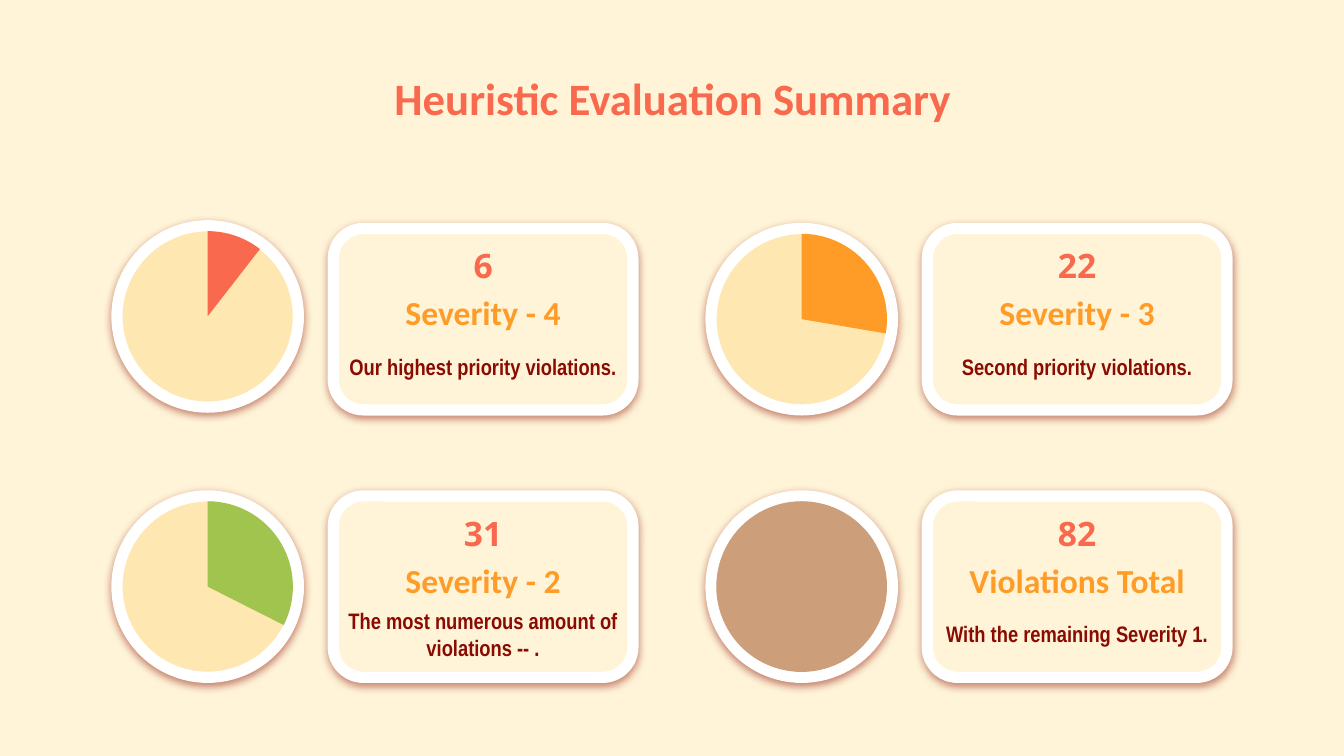
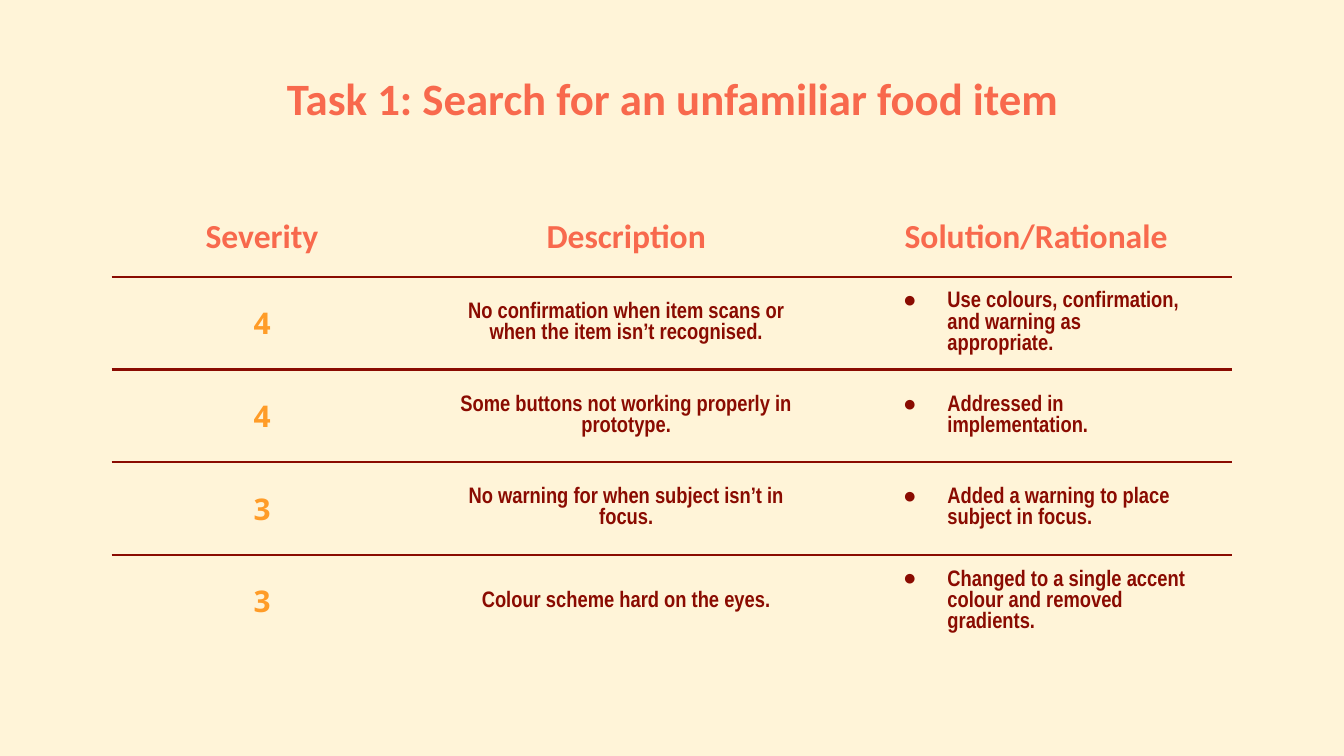
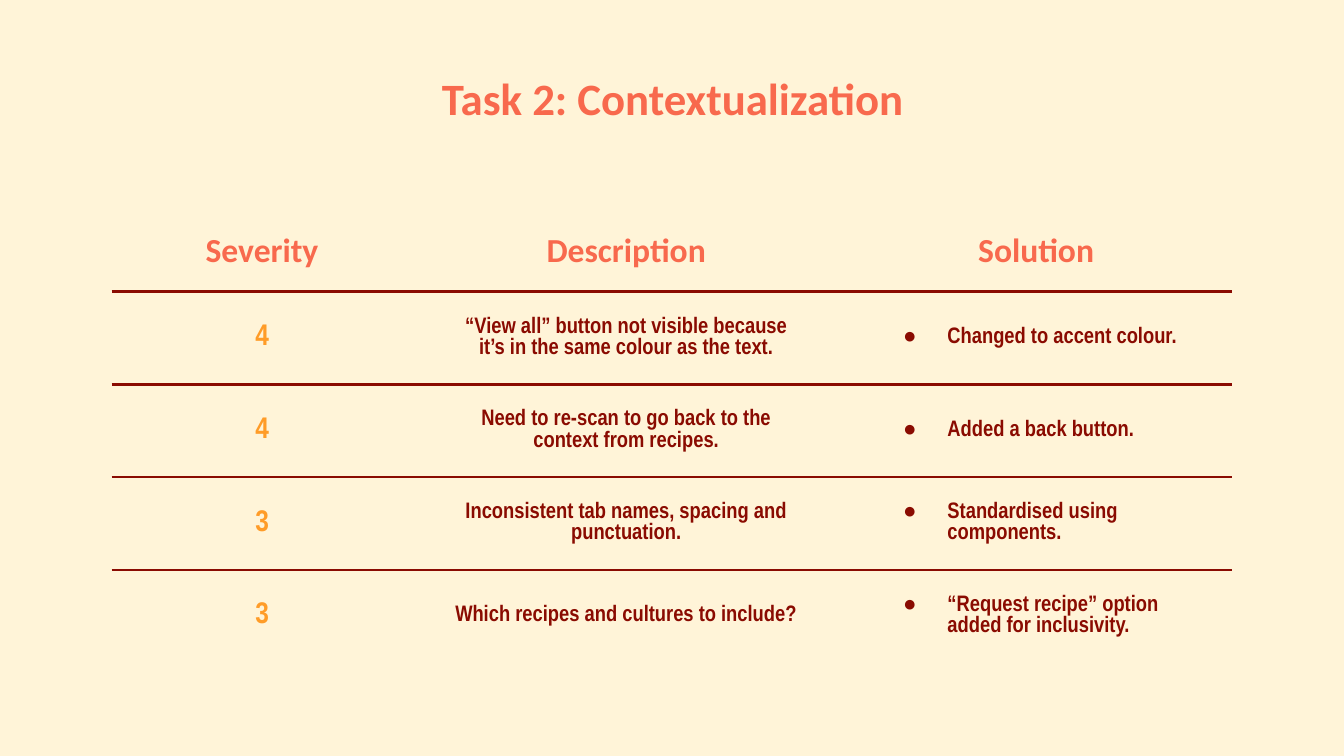
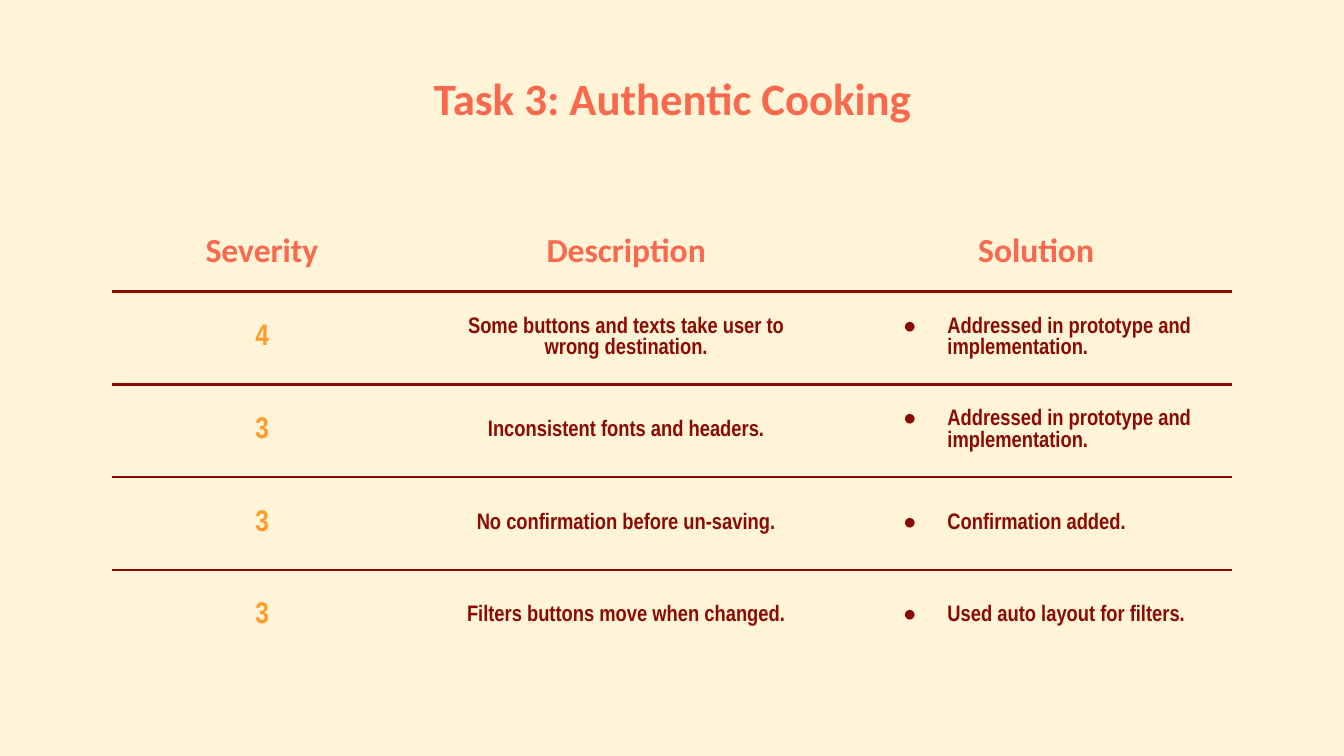
from lxml import etree
from pptx import Presentation
from pptx import util as u
from pptx.dml.color import RGBColor
from pptx.enum import shapes, text
from pptx.oxml import ns

WIDE = 10
HIGH = WIDE * 9 / 16
CREAM, SAND, WHITE = "FFF4D8", "FEE7B1", "FFFFFF"
CORAL, AMBER, WINE = "F8694D", "FF9C28", "8A0B01"
GREEN, TAN = "A1C44E", "CC9E7A"
KIND = shapes.MSO_SHAPE
PLAIN = "{2D5ABB26-0587-4C30-8999-92F81FD0307C}"

HEAD = {"size": 24, "name": "Calibri", "color": CORAL}
COUNT = {"size": 18, "name": "Noto Sans", "color": CORAL}
LABEL = {"size": 18, "name": "Calibri", "color": AMBER}
LEAD = LABEL | {"color": CORAL}
BODY = {"size": 12, "name": "Arial Narrow", "color": WINE}
SCORE = {"size": 16, "color": AMBER}

CARDS = [
    ("6", "Severity - 4", "Our highest priority violations.", CORAL, 37.84, 0.02),
    ("22", "Severity - 3", "Second priority violations.", AMBER, 99.65, 0),
    ("31", "Severity - 2", "The most numerous amount of violations -- .", GREEN, 116.8, 0),
    ("82", "Violations Total", "With the remaining Severity 1.", TAN, 359.8, 0),
]

TASKS = [
    ("Task 1: Search for an unfamiliar food item", 1.46, "Solution/Rationale", "Noto Sans", [
        ("4", "No confirmation when item scans or when the item isn’t recognised.",
         "Use colours, confirmation, and warning as appropriate."),
        ("4", "Some buttons not working properly in prototype.",
         "Addressed in implementation."),
        ("3", "No warning for when subject isn’t in focus.",
         "Added a warning to place subject in focus."),
        ("3", "Colour scheme hard on the eyes.",
         "Changed to a single accent colour and removed gradients."),
    ]),
    ("Task 2: Contextualization", 1.57, "Solution", "Arial Narrow", [
        ("4", "“View all” button not visible because it’s in the same colour as the text.",
         "Changed to accent colour."),
        ("4", "Need to re-scan to go back to the context from recipes.",
         "Added a back button."),
        ("3", "Inconsistent tab names, spacing and punctuation.",
         "Standardised using components."),
        ("3", "Which recipes and cultures to include?",
         "“Request recipe” option added for inclusivity."),
    ]),
    ("Task 3: Authentic Cooking", 1.57, "Solution", "Arial Narrow", [
        ("4", "Some buttons and texts take user to wrong destination.",
         "Addressed in prototype and implementation."),
        ("3", "Inconsistent fonts and headers.",
         "Addressed in prototype and implementation."),
        ("3", "No confirmation before un-saving.", "Confirmation added."),
        ("3", "Filters buttons move when changed.", "Used auto layout for filters."),
    ]),
]


def paint(form, tone):
    """Give a fill or line format a solid colour."""
    form.solid()
    form.fore_color.rgb = RGBColor.from_string(tone)


def node(top, tag, **attrs):
    """Append an XML element and return it."""
    item = etree.SubElement(top, ns.qn(tag))
    for key, value in attrs.items():
        item.set(key, str(value))
    return item


def box(left, top, wide, high):
    """Turn inches into lengths."""
    return [u.Inches(part) for part in (left, top, wide, high)]


def write(para, words, style, align=text.PP_ALIGN.CENTER):
    """Write one bold run in a style."""
    para.alignment = align
    run = para.add_run()
    run.text = words
    run.font.color.rgb = RGBColor.from_string(style["color"])
    look = {"size": u.Pt(style["size"]), "name": style["name"], "bold": True}
    for key, value in look.items():
        setattr(run.font, key, value)


def frame(shape, words, style):
    """Fill a text shape with one centred paragraph."""
    body = shape.text_frame
    look = {"word_wrap": True, "auto_size": text.MSO_AUTO_SIZE.NONE,
            "vertical_anchor": text.MSO_ANCHOR.MIDDLE}
    look |= {f"margin_{side}": u.Inches(0.1) for side in ("left", "right", "top", "bottom")}
    for key, value in look.items():
        setattr(body, key, value)
    write(body.paragraphs[0], words, style)


def page(deck, title):
    """Add a slide with its title."""
    slide = deck.slides.add_slide(deck.slide_layouts[5])
    head = slide.shapes.title
    head.left, head.top, head.width, head.height = box(0.79, 0.49, 8.43, 0.47)
    frame(head, title, HEAD)
    return slide


def plate(slide, kind, area, tone):
    """Draw a white-rimmed shape with a soft shadow."""
    shape = slide.shapes.add_shape(kind, *box(*area))
    paint(shape.fill, tone)
    paint(shape.line.fill, WHITE)
    shape.line.width = u.Pt(6)
    glow = node(node(shape.element.spPr, "a:effectLst"), "a:outerShdw",
                blurRad=u.Pt(4.5), dist=u.Pt(1.5), dir=5400000,
                algn="bl", rotWithShape=0)
    node(node(glow, "a:srgbClr", val=WINE), "a:alpha", val=50000)


def dial(slide, left, top, tone, sweep):
    """Draw a disc with a slice that runs clockwise from noon."""
    plate(slide, KIND.OVAL, (left, top, 1.35, 1.35), SAND)
    slice_ = slide.shapes.add_shape(KIND.PIE, *box(left + 0.04, top + 0.04, 1.27, 1.27))
    slice_.shadow.inherit = False
    paint(slice_.fill, tone)
    slice_.line.fill.background()
    slice_.element.spPr.xfrm.set("flipH", "1")
    slice_.adjustments[0] = (270 - sweep) % 360 * 0.6
    slice_.adjustments[1] = 270 * 0.6


def card(slide, left, top, lines):
    """Draw a rounded card with a count, a label and a note."""
    plate(slide, KIND.ROUNDED_RECTANGLE, (left, top, 2.23, 1.35), CREAM)
    rows = zip(lines, (COUNT, LABEL, BODY), (0.1, 0.45, 0.8), (0.35, 0.35, 0.45))
    for words, style, drop, high in rows:
        area = box(left, top + drop, 2.23, high)
        frame(slide.shapes.add_textbox(*area), words, style)


def recap(deck):
    """Build the summary slide on a grid of two by two."""
    slide = page(deck, "Heuristic Evaluation Summary")
    for spot, (*lines, tone, sweep, lift) in enumerate(CARDS):
        row, col = divmod(spot, 2)
        left, top = 0.87 + col * 4.42, 1.7 + row * 1.99
        card(slide, left + 1.61, top, lines)
        dial(slide, left, top - lift, tone, sweep)


def rule(cell, sides):
    """Draw lines on some sides of a cell and clear the rest."""
    props = cell._tc.get_or_add_tcPr()
    for side in "LRTB":
        edge = node(props, f"a:ln{side}", w=u.Pt(1.5))
        if side in sides:
            node(node(edge, "a:solidFill"), "a:srgbClr", val=WINE)
        else:
            node(edge, "a:noFill")
    cell.fill.background()


def bullet(para):
    """Give a paragraph a hanging bullet."""
    props = para._p.get_or_add_pPr()
    props.set("marL", str(u.Inches(0.5)))
    props.set("indent", str(u.Inches(-0.33)))
    node(node(props, "a:buClr"), "a:srgbClr", val=WINE)
    node(props, "a:buSzPts", val=BODY["size"] * 100)
    node(props, "a:buFont", typeface=BODY["name"])
    node(props, "a:buChar", char="●")


def grid(slide, top, rows, score):
    """Build the table of findings."""
    wides, highs = (2.24, 3.18, 2.92), [0.6] + [0.69] * (len(rows) - 1)
    area = box(0.83, top, sum(wides), sum(highs))
    table = slide.shapes.add_table(len(rows), len(wides), *area).table
    table.first_row = table.horz_banding = False
    table._tbl.tblPr.find(ns.qn("a:tableStyleId")).text = PLAIN
    for col, wide in zip(table.columns, wides):
        col.width = u.Inches(wide)
    last = len(rows) - 1
    for r, line in enumerate(rows):
        table.rows[r].height = u.Inches(highs[r])
        styles = (score, BODY, BODY) if r else (LEAD,) * 3
        for c, (words, style) in enumerate(zip(line, styles)):
            cell = table.cell(r, c)
            rule(cell, ("T" if r else "") + ("B" if r < last else ""))
            cell.vertical_anchor = text.MSO_ANCHOR.MIDDLE
            cell.margin_left = cell.margin_right = u.Inches(0.3 if r else 0.1)
            cell.margin_top = cell.margin_bottom = u.Inches(0.1)
            para = cell.text_frame.paragraphs[0]
            align = text.PP_ALIGN.CENTER
            if r and c == 2:
                bullet(para)
                align = text.PP_ALIGN.LEFT
            write(para, words, style, align)


def task(deck, title, top, last, font, rows):
    """Build one slide of task findings."""
    heads = ("Severity", "Description", last)
    grid(page(deck, title), top, [heads, *rows], SCORE | {"name": font})


def main():
    """Build and save the deck."""
    deck = Presentation()
    deck.slide_width, deck.slide_height = u.Inches(WIDE), u.Inches(HIGH)
    paint(deck.slide_master.background.fill, CREAM)
    recap(deck)
    for item in TASKS:
        task(deck, *item)
    deck.save("out.pptx")


if __name__ == "__main__":
    main()
